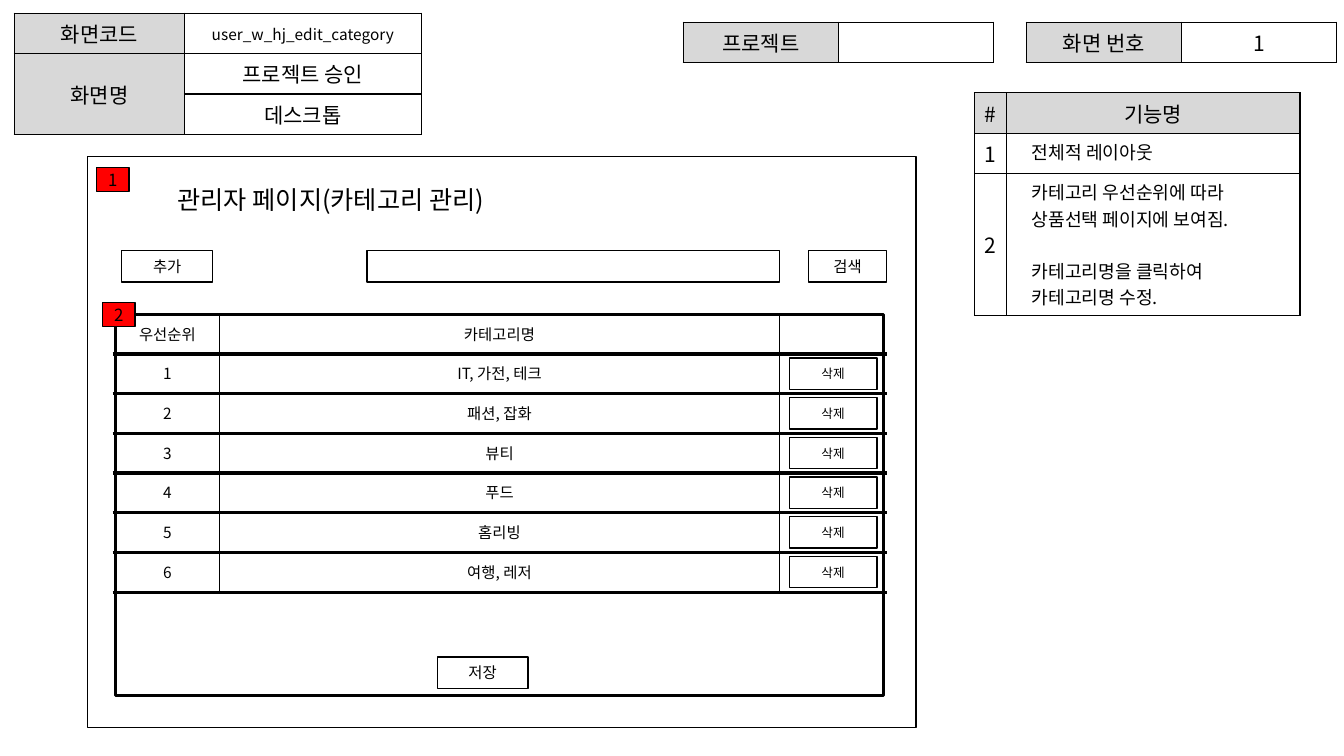
from lxml.etree import SubElement
from pptx import Presentation
from pptx.dml.color import RGBColor
from pptx.enum.shapes import MSO_CONNECTOR, MSO_SHAPE
from pptx.enum.text import MSO_ANCHOR, MSO_AUTO_SIZE, PP_ALIGN
from pptx.oxml.ns import qn
from pptx.util import Cm, Pt

FONT = "Noto Sans CJK KR"
BLACK = RGBColor(0x00, 0x00, 0x00)
WHITE = RGBColor(0xFF, 0xFF, 0xFF)
HEADER_GRAY = RGBColor(0xD8, 0xD8, 0xD8)
BADGE_RED = RGBColor(0xFF, 0x00, 0x00)

CATEGORIES = ["IT, 가전, 테크", "패션, 잡화", "뷰티", "푸드", "홈리빙", "여행, 레저"]
LIST_TOP = 7.92
ROW_HEIGHT = 1.0
BUTTON_HEIGHT = 0.79


def style_paragraph(paragraph, size, align=PP_ALIGN.CENTER):
    paragraph.alignment = align
    paragraph.font.size = Pt(size)
    paragraph.font.color.rgb = BLACK
    paragraph.font.name = FONT
    defaults = paragraph._p.pPr.find(qn("a:defRPr"))
    SubElement(defaults, qn("a:ea"), typeface=FONT)


def add_box(slide, left, top, width, height, text="", size=11, fill=None, line=1):
    box = slide.shapes.add_shape(
        MSO_SHAPE.RECTANGLE, Cm(left), Cm(top), Cm(width), Cm(height))
    box.shadow.inherit = False
    if fill is None:
        box.fill.background()
    else:
        box.fill.solid()
        box.fill.fore_color.rgb = fill
    box.line.color.rgb = BLACK
    box.line.width = Pt(line)
    if text:
        frame = box.text_frame
        frame.margin_top = frame.margin_bottom = 0
        frame.vertical_anchor = MSO_ANCHOR.MIDDLE
        frame.text = text
        style_paragraph(frame.paragraphs[0], size)


def add_badge(slide, left, top, number):
    add_box(slide, left, top, 0.81, 0.61, number, 12, BADGE_RED)


def add_row_line(slide, top):
    rule = slide.shapes.add_connector(
        MSO_CONNECTOR.STRAIGHT, Cm(2.84), Cm(top), Cm(22.35), Cm(top))
    rule.line.color.rgb = BLACK
    rule.line.width = Pt(2.25)
    SubElement(rule._element.spPr, qn("a:effectLst"))


def format_cell(cell, text, size, fill):
    properties = cell._tc.get_or_add_tcPr()
    for side in ("lnL", "lnR", "lnT", "lnB"):
        border = SubElement(properties, qn(f"a:{side}"), w=str(Pt(1)))
        solid = SubElement(border, qn("a:solidFill"))
        SubElement(solid, qn("a:srgbClr"), val=str(BLACK))
    cell.fill.solid()
    cell.fill.fore_color.rgb = fill
    cell.vertical_anchor = MSO_ANCHOR.MIDDLE
    if not text:
        cell.margin_top = cell.margin_bottom = 0
    cell.text = text
    for paragraph in cell.text_frame.paragraphs:
        style_paragraph(paragraph, size)


def add_info_table(slide, left, top, widths, heights, rows, header_cells):
    table = slide.shapes.add_table(
        len(heights), len(widths), Cm(left), Cm(top),
        Cm(sum(widths)), Cm(sum(heights))).table
    table.first_row = table.horz_banding = False
    for column, width in zip(table.columns, widths):
        column.width = Cm(width)
    for row, height in zip(table.rows, heights):
        row.height = Cm(height)
    for r, texts in enumerate(rows):
        for c, text in enumerate(texts):
            fill = HEADER_GRAY if (r, c) in header_cells else WHITE
            format_cell(table.cell(r, c), text, 15, fill)
    return table


def add_screen_tables(slide):
    names = add_info_table(
        slide, 0.36, 0.33, [4.29, 5.97], [1.02] * 3,
        [("화면코드", "user_w_hj_edit_category"), ("화면명", "프로젝트 승인"),
         ("", "데스크톱")],
        {(0, 0), (1, 0), (2, 0)})
    names.cell(1, 0).merge(names.cell(2, 0))
    names.cell(0, 1).text_frame.paragraphs[0].font.size = Pt(11)

    for left, label, value in [(25.86, "화면 번호", "1"), (17.22, "프로젝트", "")]:
        add_info_table(slide, left, 0.56, [3.91] * 2, [1.02],
                       [(label, value)], {(0, 0)})


def add_function_table(slide):
    details = ("카테고리 우선순위에 따라 상품선택 페이지에 보여짐.\n"
               "카테고리명을 클릭하여\n카테고리명 수정.")
    functions = add_info_table(
        slide, 24.56, 2.34, [0.81, 7.39], [1.02, 1.02, 3.57],
        [("#", "기능명"), ("1", "전체적 레이아웃"), ("2", details)],
        {(0, 0), (0, 1)})
    for row in (1, 2):
        cell = functions.cell(row, 1)
        cell.vertical_anchor = MSO_ANCHOR.TOP
        for paragraph in cell.text_frame.paragraphs:
            paragraph.alignment = PP_ALIGN.LEFT
            paragraph.font.size = Pt(13)
            paragraph._p.pPr.set("marL", str(Cm(0.38)))
    functions.cell(2, 1).text_frame.paragraphs[1].space_before = Pt(18.8)


def add_page_title(slide):
    title = slide.shapes.title
    title.left, title.top, title.width, title.height = (
        Cm(4.22), Cm(4.52), Cm(16.76), Cm(1.02))
    frame = title.text_frame
    frame.text = "관리자 페이지(카테고리 관리)"
    frame.word_wrap = True
    frame.auto_size = MSO_AUTO_SIZE.SHAPE_TO_FIT_TEXT
    style_paragraph(frame.paragraphs[0], 18, PP_ALIGN.LEFT)


def add_category_list(slide):
    rows = [("우선순위", "카테고리명")]
    rows += [(str(rank), name) for rank, name in enumerate(CATEGORIES, 1)]
    for index, (rank, name) in enumerate(rows):
        top = LIST_TOP + index * ROW_HEIGHT
        add_box(slide, 2.9, top, 2.64, ROW_HEIGHT, rank)
        add_box(slide, 5.54, top, 14.1, ROW_HEIGHT, name)
        add_row_line(slide, top + ROW_HEIGHT)
        if index:
            add_box(slide, 19.89, top + 0.1, 2.21, BUTTON_HEIGHT, "삭제", 9)


def main():
    presentation = Presentation()
    presentation.slide_width = Cm(33.87)
    presentation.slide_height = Cm(19.05)
    slide = presentation.slides.add_slide(presentation.slide_layouts[5])

    add_screen_tables(slide)
    add_function_table(slide)
    add_page_title(slide)

    add_box(slide, 2.21, 3.94, 20.88, 14.4)
    add_box(slide, 2.92, LIST_TOP, 19.35, 9.6, line=2.25)
    for left, top, width, label in [
            (3.07, 6.32, 2.29, "추가"), (9.25, 6.32, 10.39, ""),
            (20.37, 6.32, 1.98, "검색"), (11.02, 16.56, 2.29, "저장")]:
        add_box(slide, left, top, width, BUTTON_HEIGHT, label)
    add_category_list(slide)
    add_badge(slide, 2.44, 4.22, "1")
    add_badge(slide, 2.59, 7.62, "2")

    presentation.save("out.pptx")


if __name__ == "__main__":
    main()
